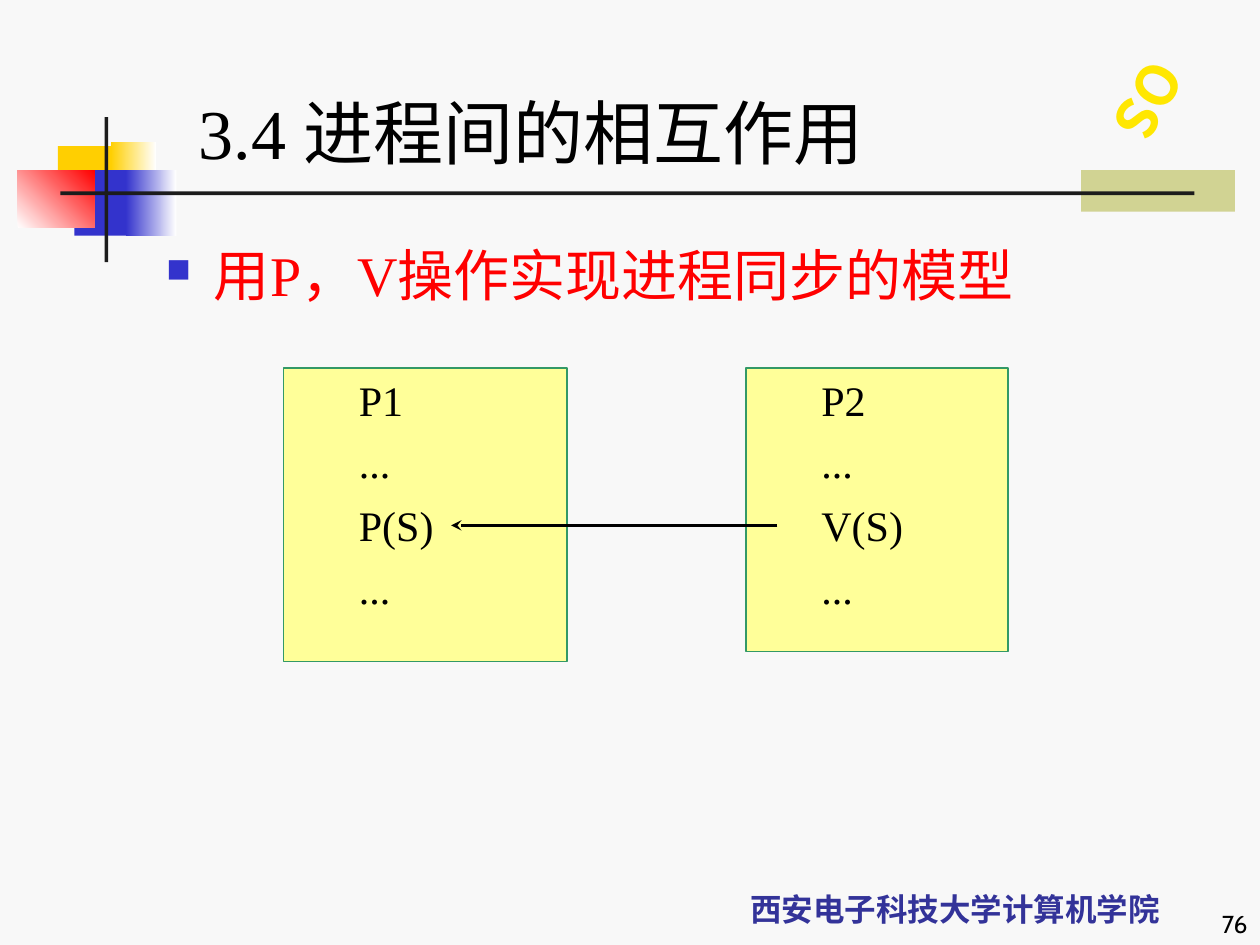
"""Build the slide on process synchronisation with P and V operations."""
from lxml.etree import SubElement
from pptx import Presentation
from pptx.dml.color import RGBColor
from pptx.enum.shapes import MSO_CONNECTOR, MSO_SHAPE
from pptx.enum.text import MSO_ANCHOR, PP_ALIGN
from pptx.oxml.ns import qn
from pptx.util import Inches, Pt

PAPER = RGBColor(0xF8, 0xF8, 0xF8)
OLIVE = RGBColor(0xD1, 0xD3, 0x93)
GOLD = RGBColor(0xFF, 0xCF, 0x01)
SUN = RGBColor(0xFF, 0xE7, 0x01)
BLUE = RGBColor(0x33, 0x33, 0xCC)
NAVY = RGBColor(0x33, 0x33, 0x99)
RED = RGBColor(0xFF, 0x00, 0x00)
WHITE = RGBColor(0xFF, 0xFF, 0xFF)
BLACK = RGBColor(0x00, 0x00, 0x00)
INK = RGBColor(0x1C, 0x1C, 0x1C)
CREAM = RGBColor(0xFF, 0xFF, 0x99)
GREEN = RGBColor(0x33, 0x99, 0x66)
SERIF = "Times New Roman"
HAN = "Noto Sans CJK SC"


class Board:
    """Hold the text style and the current slide."""

    def __init__(self, slide):
        self.slide = slide
        self.shapes = slide.shapes
        slide.background.fill.solid()
        slide.background.fill.fore_color.rgb = PAPER

    def rect(self, box, fill, end=None, angle=0, edge=None):
        shape = self.shapes.add_shape(MSO_SHAPE.RECTANGLE, *map(Inches, box))
        shape.shadow.inherit = False
        if end is None:
            shape.fill.solid()
            shape.fill.fore_color.rgb = fill
        else:
            shape.fill.gradient()
            shape.fill.gradient_angle = angle
            for stop, color in zip(shape.fill.gradient_stops, (fill, end)):
                stop.color.rgb = color
        if edge is None:
            shape.line.fill.background()
        else:
            shape.line.color.rgb = edge
            shape.line.width = Pt(0.75)
        return shape

    def run(self, para, text, size, color=BLACK, font=SERIF, bold=False):
        run = para.add_run()
        run.text = text
        run.font.size = Pt(size)
        run.font.name = font
        run.font.bold = bold
        run.font.color.rgb = color
        SubElement(run.font._element, qn("a:ea"), typeface=HAN)

    def text(self, box, text, size, color=BLACK, font=SERIF, bold=False,
             align=PP_ALIGN.LEFT, anchor=MSO_ANCHOR.BOTTOM):
        shape = self.shapes.add_textbox(*map(Inches, box))
        frame = shape.text_frame
        frame.word_wrap = True
        frame.vertical_anchor = anchor
        para = frame.paragraphs[0]
        para.alignment = align
        self.run(para, text, size, color, font, bold)
        return shape

    def indent(self, para, left, hang):
        props = para._p.get_or_add_pPr()
        props.set("marL", str(Inches(left)))
        props.set("indent", str(-Inches(hang)))
        return props

    def bullet(self, box, text, size, color):
        shape = self.text(box, text, size, color, anchor=MSO_ANCHOR.TOP)
        props = self.indent(shape.text_frame.paragraphs[0], 0.38, 0.38)
        tint = SubElement(props, qn("a:buClr"))
        SubElement(tint, qn("a:srgbClr"), val=str(BLUE))
        SubElement(props, qn("a:buSzPct"), val="60000")
        SubElement(props, qn("a:buChar"), char="■")

    def badge(self, box, text, angle):
        shape = self.text(box, text, 32, SUN, HAN, True, PP_ALIGN.CENTER, MSO_ANCHOR.MIDDLE)
        shape.rotation = angle
        frame = shape.text_frame
        frame.word_wrap = False
        frame.margin_left = frame.margin_right = Inches(0.05)
        frame.margin_top = frame.margin_bottom = Inches(0.1)
        frame._txBody.bodyPr.set("vert", "eaVert")

    def process(self, box, steps):
        frame = self.rect(box, CREAM, edge=GREEN).text_frame
        frame.word_wrap = True
        frame.vertical_anchor = MSO_ANCHOR.TOP
        for i, step in enumerate(steps):
            para = frame.add_paragraph() if i else frame.paragraphs[0]
            para.alignment = PP_ALIGN.LEFT
            para.level = 1
            self.indent(para, 0.81, 0.31)
            if i:
                para.space_before = Pt(7)
            self.run(para, step, 24)

    def arrow(self, *ends):
        line = self.shapes.add_connector(MSO_CONNECTOR.STRAIGHT, *map(Inches, ends))
        line.line.color.rgb = BLACK
        line.line.width = Pt(2)
        SubElement(line.line._get_or_add_ln(), qn("a:tailEnd"), type="stealth")
        SubElement(line._element.spPr, qn("a:effectLst"))


def main():
    deck = Presentation()
    deck.slide_width, deck.slide_height = Inches(10), Inches(7.5)
    board = Board(deck.slides.add_slide(deck.slide_layouts[6]))

    board.rect((8.58, 1.35, 1.22, 0.33), OLIVE)
    board.rect((0.46, 1.16, 0.48, 0.52), GOLD)
    board.rect((0.88, 1.13, 0.36, 0.52), GOLD, WHITE)
    board.rect((0.59, 1.35, 0.46, 0.52), BLUE)
    board.rect((1, 1.35, 0.4, 0.52), BLUE, WHITE)
    board.rect((0.14, 1.35, 0.61, 0.46), WHITE, RED, 45)
    board.rect((0.83, 0.93, 0.03, 1.15), INK)
    board.rect((0.48, 1.52, 9, 0.03), INK)

    board.text((5.33, 6.83, 4.5, 0.58), "西安电子科技大学计算机学院", 18, NAVY, HAN, True,
               PP_ALIGN.CENTER)
    board.badge((8.76, 0.4, 0.79, 0.71), "OS", 29.3)
    board.text((7.92, 7, 2.08, 0.5), "76", 14, font="Cabin", align=PP_ALIGN.RIGHT)
    board.text((1.48, 0.6, 8.52, 0.83), "3.4 进程间的相互作用", 40)
    board.bullet((1.22, 1.86, 8.5, 0.67), "用P，V操作实现进程同步的模型", 32, RED)

    board.process((2.25, 2.92, 2.25, 2.33), ("P1", "...", "P(S)", "..."))
    board.process((5.92, 2.92, 2.08, 2.25), ("P2", "...", "V(S)", "..."))
    board.arrow(6.17, 4.17, 3.58, 4.17)
    deck.save("out.pptx")


if __name__ == "__main__":
    main()
